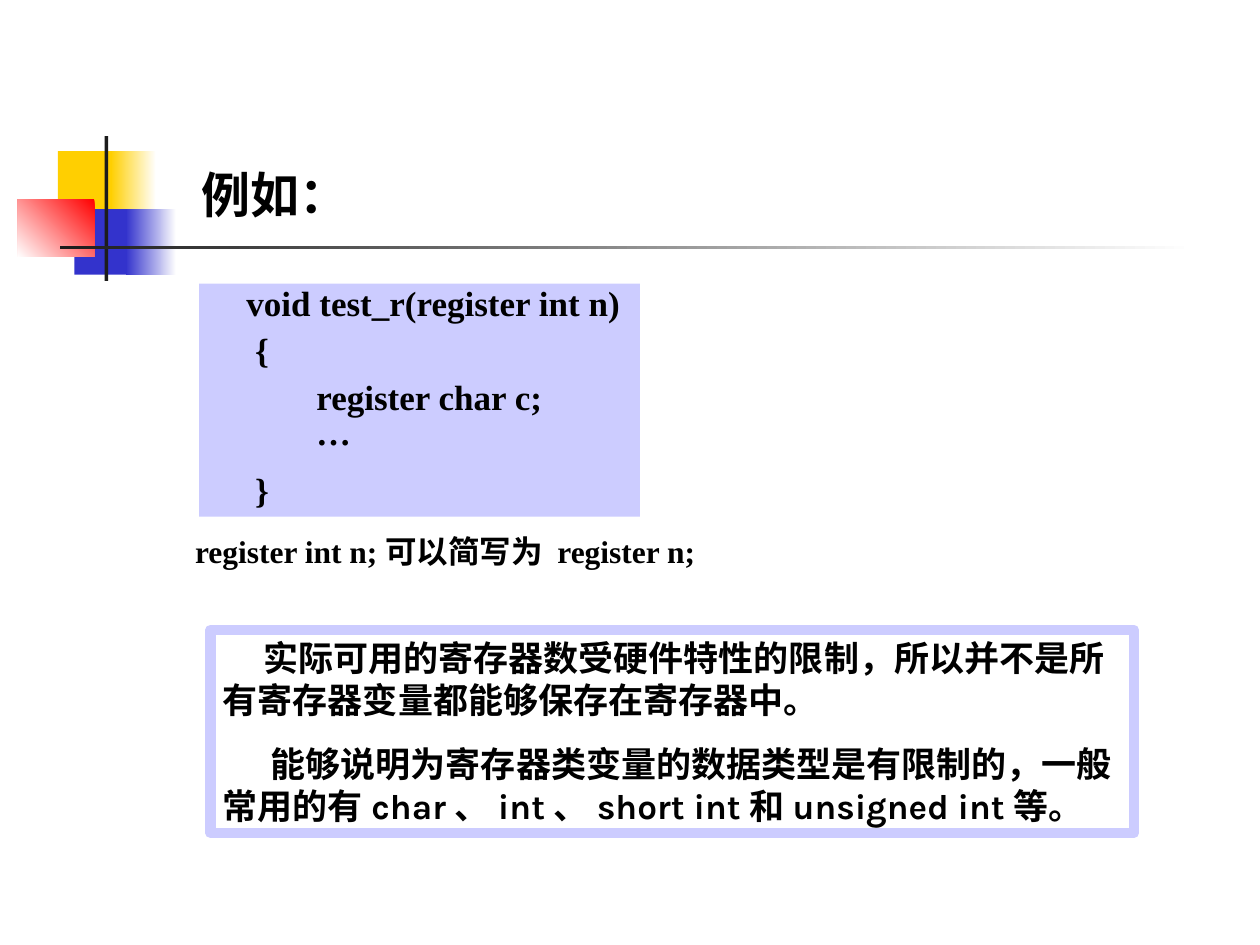
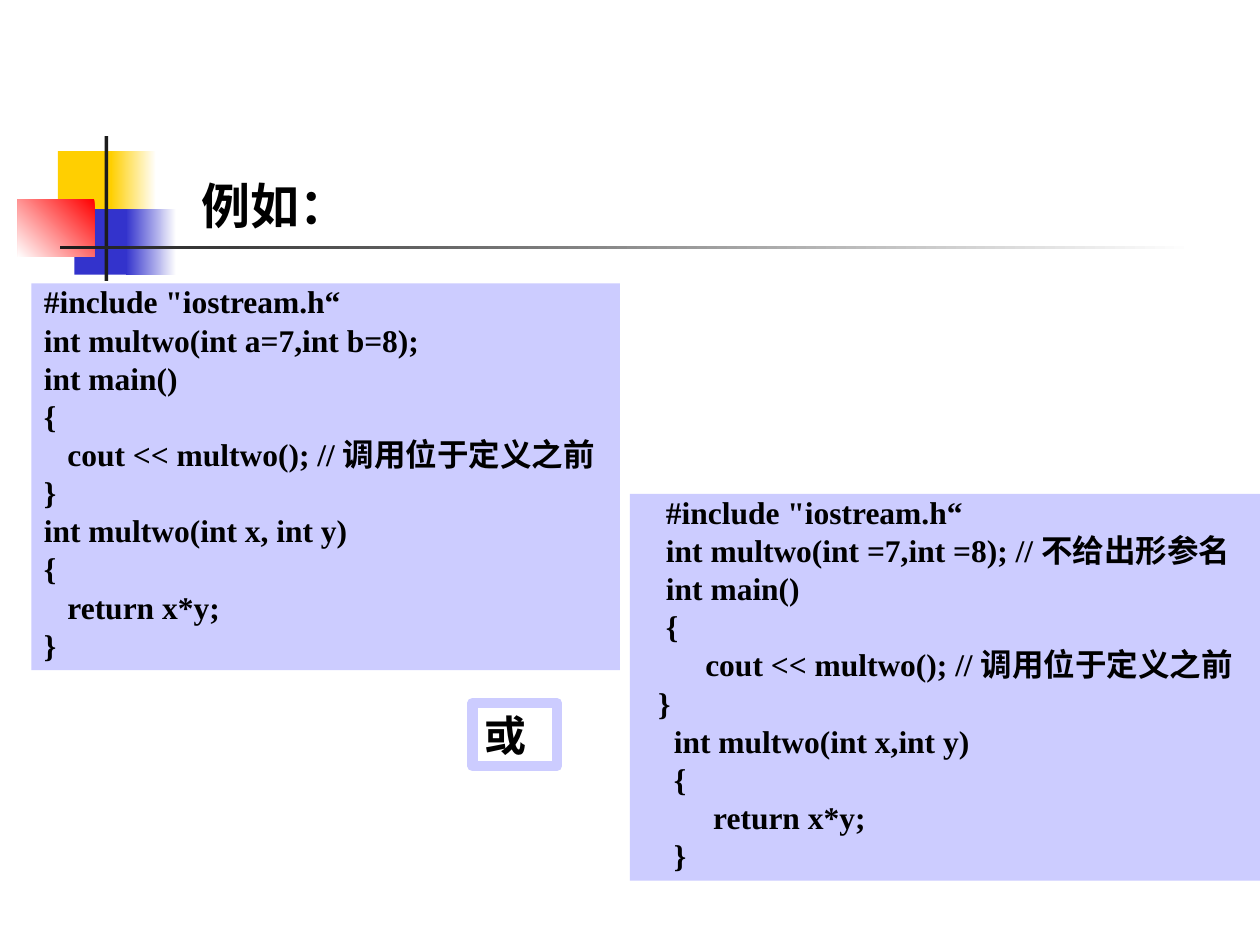
"""Build two slides on register variables and default arguments in C++."""
from pptx import Presentation
from pptx.dml.color import RGBColor
from pptx.enum.shapes import MSO_SHAPE
from pptx.enum.text import MSO_ANCHOR, PP_ALIGN
from pptx.oxml.ns import qn
from pptx.util import Pt
from lxml.etree import SubElement

PX = 9144
WHITE = RGBColor(0xFF, 0xFF, 0xFF)
BLACK = RGBColor(0x00, 0x00, 0x00)
INK = RGBColor(0x1C, 0x1C, 0x1C)
YELLOW = RGBColor(0xFF, 0xCF, 0x01)
BLUE = RGBColor(0x33, 0x33, 0xCC)
RED = RGBColor(0xFF, 0x00, 0x00)
LAVENDER = RGBColor(0xCC, 0xCC, 0xFF)
SERIF = "Times New Roman"
HAN = "Noto Sans CJK SC"
SANS = "Karla"

ORNAMENT = [
    ((46, 120, 48, 52), [YELLOW], 0),
    ((88, 120, 36, 52), [WHITE, YELLOW], 180),
    ((59, 166, 46, 52), [BLUE], 0),
    ((100, 166, 40, 52), [WHITE, BLUE], 180),
    ((14, 158, 61, 46), [RED, WHITE], 225),
    ((83, 108, 3, 115), [INK], 0),
    ((48, 195, 900, 3), [WHITE, INK], 180),
]


def add_box(page, place, colors=(), angle=0, border=None):
    """Add a rectangle with a plain, gradient or empty fill."""
    box = page.shapes.add_shape(MSO_SHAPE.RECTANGLE, *[n * PX for n in place])
    box.shadow.inherit = False
    if len(colors) == 2:
        box.fill.gradient()
        box.fill.gradient_angle = angle
        for stop, color in zip(box.fill.gradient_stops, colors):
            stop.color.rgb = color
    elif colors:
        box.fill.solid()
        box.fill.fore_color.rgb = colors[0]
    else:
        box.fill.background()
    if border:
        box.line.color.rgb = border
        box.line.width = Pt(6)
    else:
        box.line.fill.background()
    return box


def write(box, lines, size, before=0, spacing=1.0, align=PP_ALIGN.LEFT,
          anchor=MSO_ANCHOR.TOP, wrap=True, indents=()):
    """Fill a box with paragraphs, each a list of (text, font) runs."""
    frame = box.text_frame
    frame.word_wrap = wrap
    frame.vertical_anchor = anchor
    for index, runs in enumerate(lines):
        para = frame.add_paragraph() if index else frame.paragraphs[0]
        para.alignment = align
        para.line_spacing = spacing
        if index:
            para.space_before = Pt(before)
        if indents:
            para._p.get_or_add_pPr().set("indent", str(indents[index] * PX))
        for text, font in runs:
            span = para.add_run()
            span.text = text
            span.font.size = Pt(size)
            span.font.bold = True
            span.font.color.rgb = BLACK
            span.font.name = font
            SubElement(span._r.get_or_add_rPr(), qn("a:ea"), typeface=HAN)


deck = Presentation()
deck.slide_width = 1000 * PX
deck.slide_height = 750 * PX

pages = []
for title_width, title_height in [(157, 57), (149, 66)]:
    page = deck.slides.add_slide(deck.slide_layouts[6])
    for place, colors, angle in ORNAMENT:
        add_box(page, place, colors, angle)
    title = page.shapes.add_textbox(150 * PX, 125 * PX, title_width * PX, title_height * PX)
    write(title, [[("例如：", HAN)]], 28, anchor=MSO_ANCHOR.BOTTOM)
    pages.append(page)
register_page, default_page = pages

register_code = [
    [("    void test_r(register int n)", SERIF)],
    [("     {", SERIF)],
    [("            register char c;", SERIF)],
    [("            ", SERIF), ("…", HAN)],
    [("     }", SERIF)],
]
write(add_box(register_page, (158, 225, 350, 185), [LAVENDER]), register_code, 20, 7.5, 0.8)

short_form = register_page.shapes.add_textbox(145 * PX, 417 * PX, 419 * PX, 40 * PX)
write(short_form, [[("register int n;", SERIF), ("可以简写为 ", HAN), ("register n;", SERIF)]],
      18, wrap=False)

limits = [
    [("实际可用的寄存器数受硬件特性的限制，所以并不是所有寄存器变量都能够保存在寄存器中。", HAN)],
    [("能够说明为寄存器类变量的数据类型是有限制的，一般常用的有", HAN), ("char", SANS),
     ("、", HAN), ("int", SANS), ("、", HAN), ("short int", SANS), ("和", HAN),
     ("unsigned int", SANS), ("等。", HAN)],
]
write(add_box(register_page, (167, 500, 733, 161), border=LAVENDER), limits, 20, 12.5,
      indents=(32, 38))

named_code = [
    [("#include \"iostream.h“", SERIF)],
    [("int multwo(int a=7,int b=8);", SERIF)],
    [("int main()", SERIF)],
    [("{", SERIF)],
    [("   cout << multwo(); //", SERIF), ("调用位于定义之前", HAN)],
    [("}", SERIF)],
    [("int multwo(int x, int y)", SERIF)],
    [("{", SERIF)],
    [("   return x*y;", SERIF)],
    [("}", SERIF)],
]
unnamed_code = [
    [("   #include \"iostream.h“", SERIF)],
    [("   int multwo(int =7,int =8); //", SERIF), ("不给出形参名", HAN)],
    [("   int main()", SERIF)],
    [("   {", SERIF)],
    [("        cout << multwo(); //", SERIF), ("调用位于定义之前", HAN)],
    [("  }", SERIF)],
    [("    int multwo(int x,int y)", SERIF)],
    [("    {", SERIF)],
    [("         return x*y;", SERIF)],
    [("    }", SERIF)],
]
for place, code in [((25, 225, 467, 307), named_code), ((500, 392, 500, 307), unnamed_code)]:
    write(add_box(default_page, place, [LAVENDER]), code, 18, 4.5, 0.8, PP_ALIGN.JUSTIFY)

write(add_box(default_page, (375, 558, 67, 50), border=LAVENDER), [[("或", SANS)]], 24)

deck.save("out.pptx")
